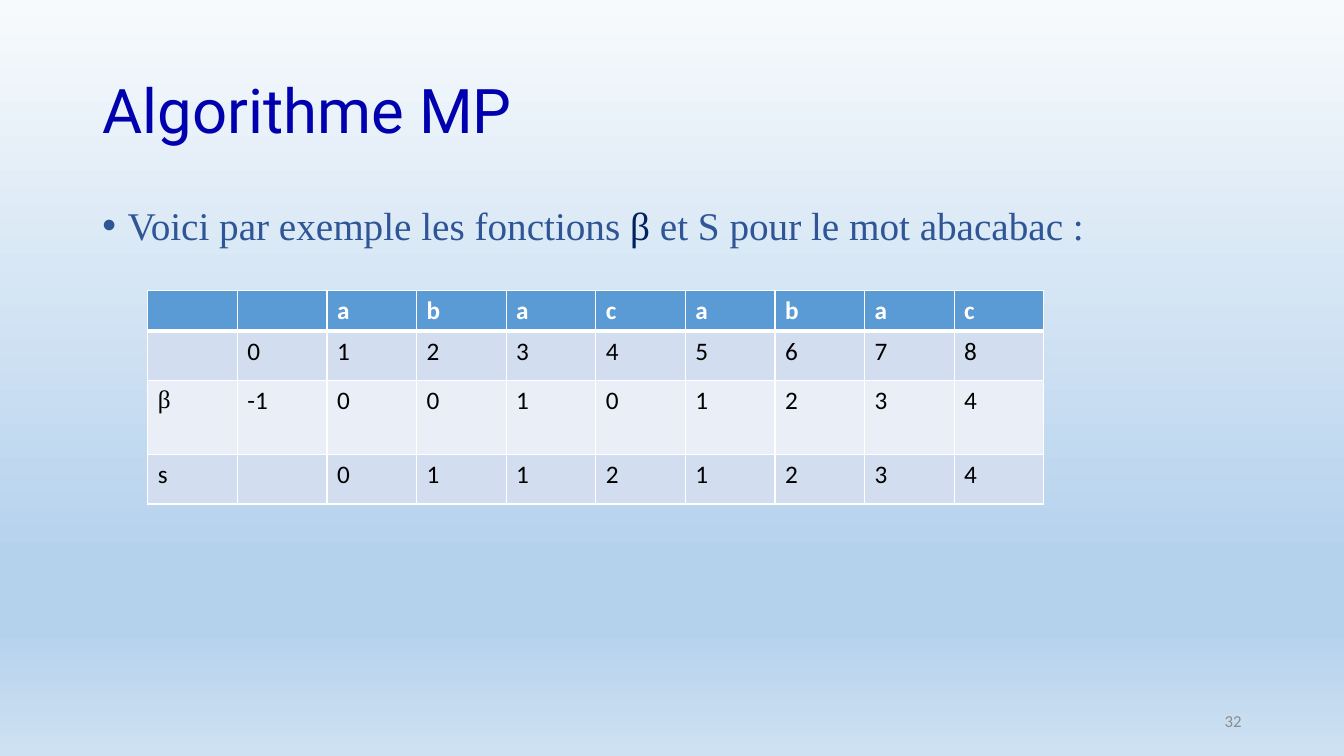
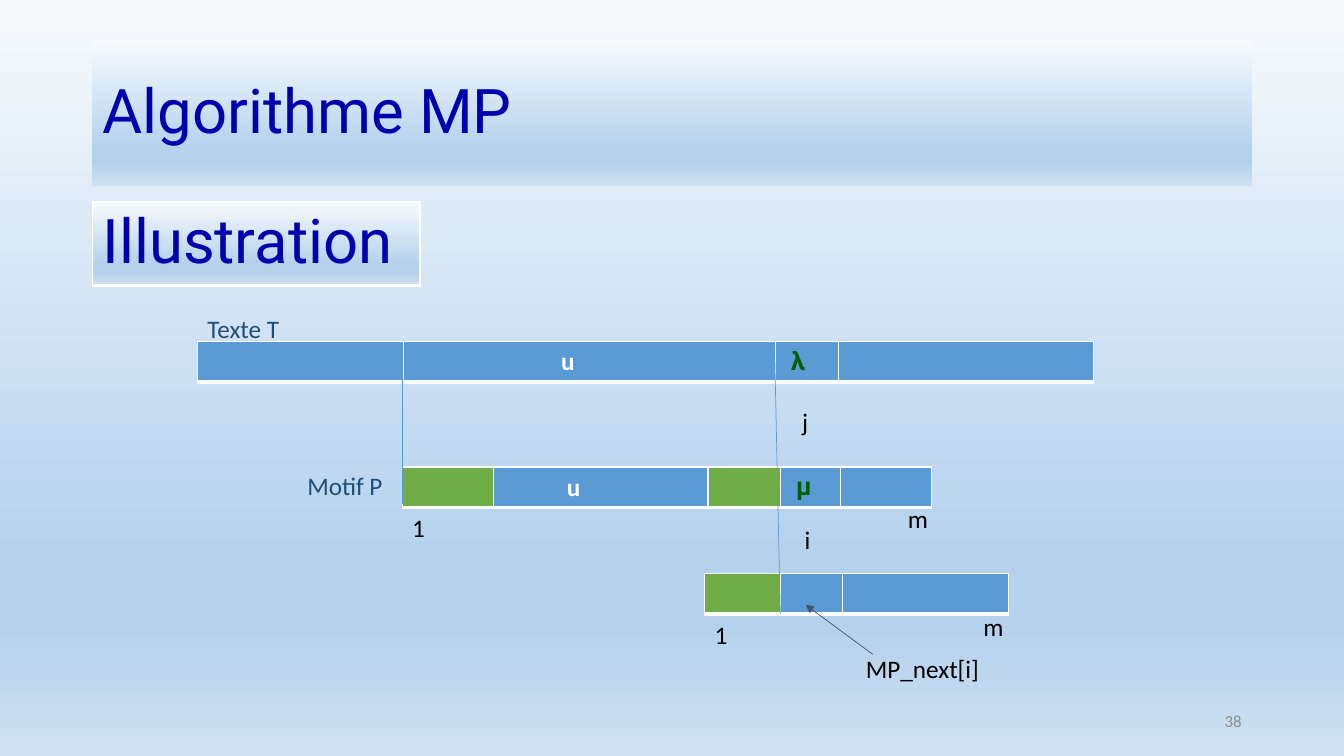
import dataclasses

import pptx
import pptx.dml.color
import pptx.enum.shapes
import pptx.enum.text
import pptx.oxml
import pptx.oxml.ns
import pptx.util

qn = pptx.oxml.ns.qn
Align = pptx.enum.text.PP_ALIGN
Anchor = pptx.enum.text.MSO_ANCHOR

NAVY = "0000AF"
BLUE = "5B9BD5"
GREEN = "70AD47"
LEAF = "006000"
STEEL = "1F4E79"
SLATE = "44546A"
ROYAL = "2F5597"
WHITE = "FFFFFF"
BLACK = "000000"
SHADE = ((0, "F7FAFD"), (74, "B5D2EC"), (83, "B5D2EC"), (100, "CEE1F2"))


@dataclasses.dataclass
class Cell:
    text: str = ""
    fill: str = BLUE
    ink: str = WHITE
    font: str = "Calibri"
    size: int = 18
    bold: bool = True
    pad: float = 1.2


def color(code):
    return pptx.dml.color.RGBColor.from_string(code)


def node(tag, inner="", **attrs):
    pairs = "".join(f' {key}="{value}"' for key, value in attrs.items())
    space = pptx.oxml.ns.nsdecls("a")
    return pptx.oxml.parse_xml(f"<a:{tag} {space}{pairs}>{inner}</a:{tag}>")


def solid(code):
    return f'<a:solidFill><a:srgbClr val="{code}"/></a:solidFill>'


class Deck:
    cols, rows = 160, 90

    def __init__(self):
        self.show = pptx.Presentation()
        self.show.slide_width = pptx.util.Inches(13.33)
        self.show.slide_height = pptx.util.Inches(7.5)
        master = self.show.slide_master
        self.shade(master.background.fill, master.element)

    def across(self, count):
        return round(self.show.slide_width * count / self.cols)

    def down(self, count):
        return round(self.show.slide_height * count / self.rows)

    def place(self, x, y, w, h):
        return self.across(x), self.down(y), self.across(w), self.down(h)

    def shade(self, fill, root):
        fill.gradient()
        old = root.find(".//" + qn("a:gradFill"))
        stops = "".join(
            f'<a:gs pos="{share * 1000}"><a:srgbClr val="{code}"/></a:gs>'
            for share, code in SHADE)
        inner = f'<a:gsLst>{stops}</a:gsLst><a:lin ang="5400000" scaled="0"/>'
        old.getparent().replace(old, node("gradFill", inner))

    def style(self, run, ink, size=18, font="Calibri", bold=False):
        run.font.name = font
        run.font.size = pptx.util.Pt(size)
        run.font.bold = bold
        run.font.color.rgb = color(ink)

    def page(self, title, number, band=False):
        self.slide = self.show.slides.add_slide(self.show.slide_layouts[5])
        head = self.slide.shapes.title
        head.left, head.top, head.width, head.height = self.place(11, 4.8, 138, 17.4)
        if band:
            self.shade(head.fill, head.element)
        frame = head.text_frame
        frame.text = title
        frame.auto_size = pptx.enum.text.MSO_AUTO_SIZE.NONE
        frame.vertical_anchor = Anchor.MIDDLE
        par = frame.paragraphs[0]
        par.alignment = Align.LEFT
        par.line_spacing = 0.9
        self.style(par.runs[0], NAVY, 44, "Roboto")
        foot = self.label(number, 113, 83.4, 36, "8C8C8C", 12)
        foot.vertical_anchor = Anchor.MIDDLE
        foot.paragraphs[0].alignment = Align.RIGHT

    def label(self, text, x, y, w, ink=BLACK, size=18):
        box = self.slide.shapes.add_textbox(*self.place(x, y, w, 4.8))
        frame = box.text_frame
        frame.word_wrap = True
        frame.text = text
        self.style(frame.paragraphs[0].runs[0], ink, size)
        return frame

    def bullet(self, parts, x, y, w, h):
        box = self.slide.shapes.add_textbox(*self.place(x, y, w, h))
        box.text_frame.word_wrap = True
        par = box.text_frame.paragraphs[0]
        props = par._p.get_or_add_pPr()
        props.set("marL", str(self.across(3)))
        props.set("indent", str(-self.across(3)))
        props.append(node("buFont", typeface="Arial"))
        props.append(node("buChar", char="•"))
        par.line_spacing = 0.9
        for text, ink in parts:
            run = par.add_run()
            run.text = text
            self.style(run, ink, 28, "Times New Roman")

    def edge(self, cell, first):
        sides = [("lnL", 1), ("lnR", 1), ("lnB", 3 if first else 1)]
        if first:
            sides.insert(2, ("lnT", 1))
        props = cell._tc.get_or_add_tcPr()
        for spot, (side, width) in enumerate(sides):
            line = node(side, solid(WHITE), w=pptx.util.Pt(width))
            props.insert(spot, line)

    def table(self, x, y, widths, heights, cells):
        area = self.place(x, y, sum(widths), sum(heights))
        grid = self.slide.shapes.add_table(len(heights), len(widths), *area).table
        grid.first_row = grid.horz_banding = False
        for col, width in zip(grid.columns, widths):
            col.width = self.across(width)
        for row, height in zip(grid.rows, heights):
            row.height = self.down(height)
        for r, line in enumerate(cells):
            for c, item in enumerate(line):
                self.fill(grid.cell(r, c), item, r == 0)

    def fill(self, cell, item, first):
        if item.fill:
            cell.fill.solid()
            cell.fill.fore_color.rgb = color(item.fill)
        else:
            self.shade(cell.fill, cell._tc)
        self.edge(cell, first)
        cell.margin_left = self.across(item.pad)
        cell.text_frame.text = item.text
        for run in cell.text_frame.paragraphs[0].runs:
            self.style(run, item.ink, item.size, item.font, item.bold)

    def line(self, start, end, ink=BLUE, arrow=False):
        kind = pptx.enum.shapes.MSO_CONNECTOR.STRAIGHT
        ends = [self.across(start[0]), self.down(start[1]),
                self.across(end[0]), self.down(end[1])]
        link = self.slide.shapes.add_connector(kind, *ends)
        link.line.color.rgb = color(ink)
        link.line.width = pptx.util.Pt(0.5)
        if arrow:
            link.line._get_or_add_ln().append(node("tailEnd", type="triangle"))
        link.element.spPr.append(node("effectLst"))


def values(deck):
    deck.page("Algorithme MP", "32")
    deck.bullet([("Voici par exemple les fonctions ", ROYAL), ("β", "002060"),
                 (" et S pour le mot abacabac :", ROYAL)], 11, 24, 138, 57.1)
    texts = [["", "", *"abacabac"],
             ["", *"012345678"],
             ["β", "-1", *"00101234"],
             ["s", "", *"01121234"]]
    fills = [BLUE, "D2DEEF", "EAEFF7", "D2DEEF"]
    cells = [[Cell(text, fill, BLACK if r else WHITE,
                   "Times New Roman" if text == "β" else "Calibri", bold=r == 0)
              for text in row]
             for r, (row, fill) in enumerate(zip(texts, fills))]
    deck.table(17.6, 34.6, [10.67] * 10, [4.8, 5.9, 8.8, 5.9], cells)


def drawing(deck):
    deck.page("Algorithme MP", "38", band=True)
    deck.table(11, 24, [39], [9.9],
               [[Cell("Illustration", "", NAVY, "Roboto", 44, False)]])
    plain, match = Cell(), Cell(fill=GREEN)
    bars = [
        (23.5, 40.7, [24.5, 44.3, 7.5, 30.4],
         [plain, Cell("u", pad=18.8),
          Cell("λ", ink=LEAF, font="Roboto", pad=1.9), plain]),
        (47.9, 55.6, [10.9, 25.5, 8.6, 7.2, 10.8],
         [match, Cell("u", pad=8.7), match,
          Cell("μ", ink=LEAF, font="Roboto", pad=1.9), plain]),
        (83.9, 68.3, [9, 7.4, 19.8], [match, plain, plain]),
    ]
    for x, y, widths, cells in bars:
        deck.table(x, y, widths, [4.8], [cells])
    deck.label("Texte T", 23.5, 36.7, 14, STEEL)
    deck.label("Motif P", 35.4, 55.4, 12.5, STEEL)
    for text, x, y, w in [("1", 47.9, 60.4, 4), ("1", 83.9, 73.1, 4),
                          ("j", 94.3, 47.8, 4), ("i", 94.6, 61.8, 4),
                          ("m", 106.9, 59.3, 4.8), ("m", 115.9, 72.2, 4.8),
                          ("MP_next[i]", 101.9, 77.2, 17)]:
        deck.label(text, x, y, w)
    deck.line((103.9, 77.9), (95.9, 72), SLATE, arrow=True)
    deck.line((47.9, 40.8), (47.9, 60))
    deck.line((92.2, 40.8), (92.9, 73.1))


def main():
    deck = Deck()
    values(deck)
    drawing(deck)
    deck.show.save("out.pptx")


if __name__ == "__main__":
    main()
